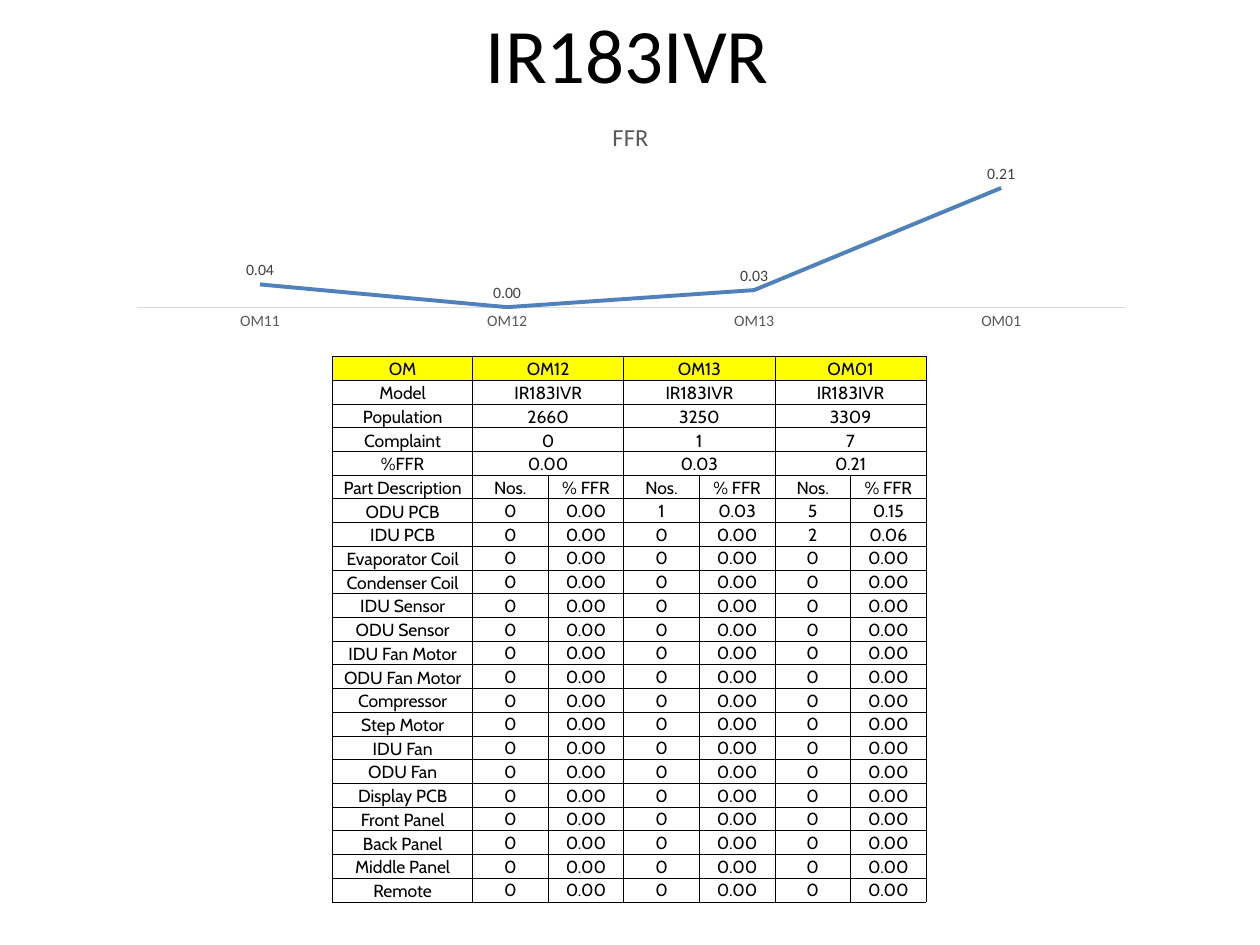
from typing import NamedTuple

from lxml import etree
from pptx import Presentation
from pptx.chart import data as chart_data
from pptx.dml.color import RGBColor
from pptx.enum import chart as chart_enum, text
from pptx.oxml import ns
from pptx.util import Inches, Pt

BLACK = RGBColor(0x00, 0x00, 0x00)
YELLOW = RGBColor(0xFF, 0xFF, 0x00)
BLUE = RGBColor(0x4F, 0x81, 0xBD)
DARK_GRAY = RGBColor(0x40, 0x40, 0x40)
GRAY = RGBColor(0x59, 0x59, 0x59)
LIGHT_GRAY = RGBColor(0xD9, 0xD9, 0xD9)

MODEL = "IR183IVR"
TABLE_HEIGHT = 4.33
LABEL_WIDTH, VALUE_WIDTH = 1.11, 0.6
PARTS = [
    "ODU PCB", "IDU PCB", "Evaporator Coil", "Condenser Coil", "IDU Sensor",
    "ODU Sensor", "IDU Fan Motor", "ODU Fan Motor", "Compressor", "Step Motor",
    "IDU Fan", "ODU Fan", "Display PCB", "Front Panel", "Back Panel",
    "Middle Panel", "Remote",
]


class Month(NamedTuple):
    name: str
    population: str
    complaints: str
    rate: str
    faults: dict[str, tuple[str, str]]


MONTHS = [
    Month("OM12", "2660", "0", "0.00", {}),
    Month("OM13", "3250", "1", "0.03", {"ODU PCB": ("1", "0.03")}),
    Month("OM01", "3309", "7", "0.21",
          {"ODU PCB": ("5", "0.15"), "IDU PCB": ("2", "0.06")}),
]


def style_font(font, name: str, size: float, color: RGBColor) -> None:
    font.name, font.size, font.bold = name, Pt(size), False
    font.color.rgb = color


def add_title(slide) -> None:
    box = slide.shapes.add_textbox(Inches(0.48), Inches(0.17), Inches(9), Inches(0.5))
    frame = box.text_frame
    frame.word_wrap = True
    frame.vertical_anchor = text.MSO_ANCHOR.MIDDLE
    frame.text = MODEL
    paragraph = frame.paragraphs[0]
    paragraph.alignment = text.PP_ALIGN.CENTER
    style_font(paragraph.runs[0].font, "Calibri", 44, BLACK)


def add_rate_chart(slide) -> None:
    data = chart_data.CategoryChartData(number_format="0.00")
    data.categories = ["OM11"] + [month.name for month in MONTHS]
    data.add_series("FFR", [0.04] + [float(month.rate) for month in MONTHS])
    chart = slide.shapes.add_chart(
        chart_enum.XL_CHART_TYPE.LINE, Inches(0.92), Inches(0.83),
        Inches(8.17), Inches(1.83), data).chart
    style_font(chart.font, "Calibri", 10, BLACK)
    chart.has_legend = False
    chart.has_title = True
    chart.chart_title.include_in_layout = False
    title = chart.chart_title.text_frame
    title.text = "FFR"
    style_font(title.paragraphs[0].runs[0].font, "Calibri", 14, GRAY)

    # Axes
    category_axis = chart.category_axis
    category_axis.major_tick_mark = chart_enum.XL_TICK_MARK.NONE
    style_font(category_axis.tick_labels.font, "Calibri", 9, GRAY)
    category_axis.format.line.color.rgb = LIGHT_GRAY
    category_axis.format.line.width = Pt(0.75)
    value_axis = chart.value_axis
    value_axis.visible = False
    value_axis.has_major_gridlines = False
    value_axis.minimum_scale, value_axis.maximum_scale = 0, 0.25

    # Line and value labels
    plot = chart.plots[0]
    plot.vary_by_categories = False
    series = plot.series[0]
    series.smooth = False
    series.marker.style = chart_enum.XL_MARKER_STYLE.NONE
    series.format.line.color.rgb = BLUE
    series.format.line.width = Pt(2.25)
    labels = series.data_labels
    labels.show_value = True
    labels.position = chart_enum.XL_LABEL_POSITION.ABOVE
    labels.number_format = "0.00"
    labels.number_format_is_linked = False
    style_font(labels.font, "Calibri", 9, DARK_GRAY)


def add_borders(cell) -> None:
    properties = cell._tc.get_or_add_tcPr()
    for position, side in enumerate(("lnL", "lnR", "lnT", "lnB")):
        line = etree.Element(ns.qn(f"a:{side}"), w=str(Pt(0.5)))
        fill = etree.SubElement(line, ns.qn("a:solidFill"))
        etree.SubElement(fill, ns.qn("a:srgbClr"), val=str(BLACK))
        properties.insert(position, line)


def fill_cell(cell, content: str, anchor: text.MSO_ANCHOR) -> None:
    cell.text = content
    cell.vertical_anchor = anchor
    paragraph = cell.text_frame.paragraphs[0]
    paragraph.alignment = text.PP_ALIGN.CENTER
    style_font(paragraph.runs[0].font, "Cabin", 10, BLACK)


def add_fault_table(slide) -> None:
    summary = [
        ["OM"] + [month.name for month in MONTHS],
        ["Model"] + [MODEL] * len(MONTHS),
        ["Population"] + [month.population for month in MONTHS],
        ["Complaint"] + [month.complaints for month in MONTHS],
        ["%FFR"] + [month.rate for month in MONTHS],
    ]
    details = [["Part Description"] + ["Nos.", "% FFR"] * len(MONTHS)]
    for part in PARTS:
        details.append([part] + [value for month in MONTHS
                                 for value in month.faults.get(part, ("0", "0.00"))])

    row_count, column_count = len(summary) + len(details), 1 + 2 * len(MONTHS)
    width = LABEL_WIDTH + VALUE_WIDTH * (column_count - 1)
    table = slide.shapes.add_table(
        row_count, column_count, Inches(2.64), Inches(2.83),
        Inches(width), Inches(TABLE_HEIGHT)).table
    table.first_row = table.horz_banding = False
    for index, column in enumerate(table.columns):
        column.width = Inches(VALUE_WIDTH if index else LABEL_WIDTH)

    # Cell surfaces
    for row_index, row in enumerate(table.rows):
        row.height = Inches(TABLE_HEIGHT / row_count)
        for cell in row.cells:
            cell.margin_left = cell.margin_right = cell.margin_top = Inches(0.01)
            cell.margin_bottom = 0
            if row_index == 0:
                cell.fill.solid()
                cell.fill.fore_color.rgb = YELLOW
            else:
                cell.fill.background()
            add_borders(cell)

    # Summary rows: one value across each month's two columns
    for row_index, values in enumerate(summary):
        for index, value in enumerate(values):
            column_index = max(0, 2 * index - 1)
            cell = table.cell(row_index, column_index)
            if index:
                cell.merge(table.cell(row_index, column_index + 1))
            fill_cell(cell, value, text.MSO_ANCHOR.BOTTOM)

    # Part rows: a count and a rate for each month
    for row_index, values in enumerate(details, len(summary)):
        for index, value in enumerate(values):
            is_number = index > 0 and row_index > len(summary)
            anchor = text.MSO_ANCHOR.MIDDLE if is_number else text.MSO_ANCHOR.BOTTOM
            fill_cell(table.cell(row_index, index), value, anchor)


def main() -> None:
    presentation = Presentation()
    presentation.slide_width, presentation.slide_height = Inches(10), Inches(7.5)
    slide = presentation.slides.add_slide(presentation.slide_layouts[6])
    add_title(slide)
    add_fault_table(slide)
    add_rate_chart(slide)
    presentation.save("out.pptx")


if __name__ == "__main__":
    main()
